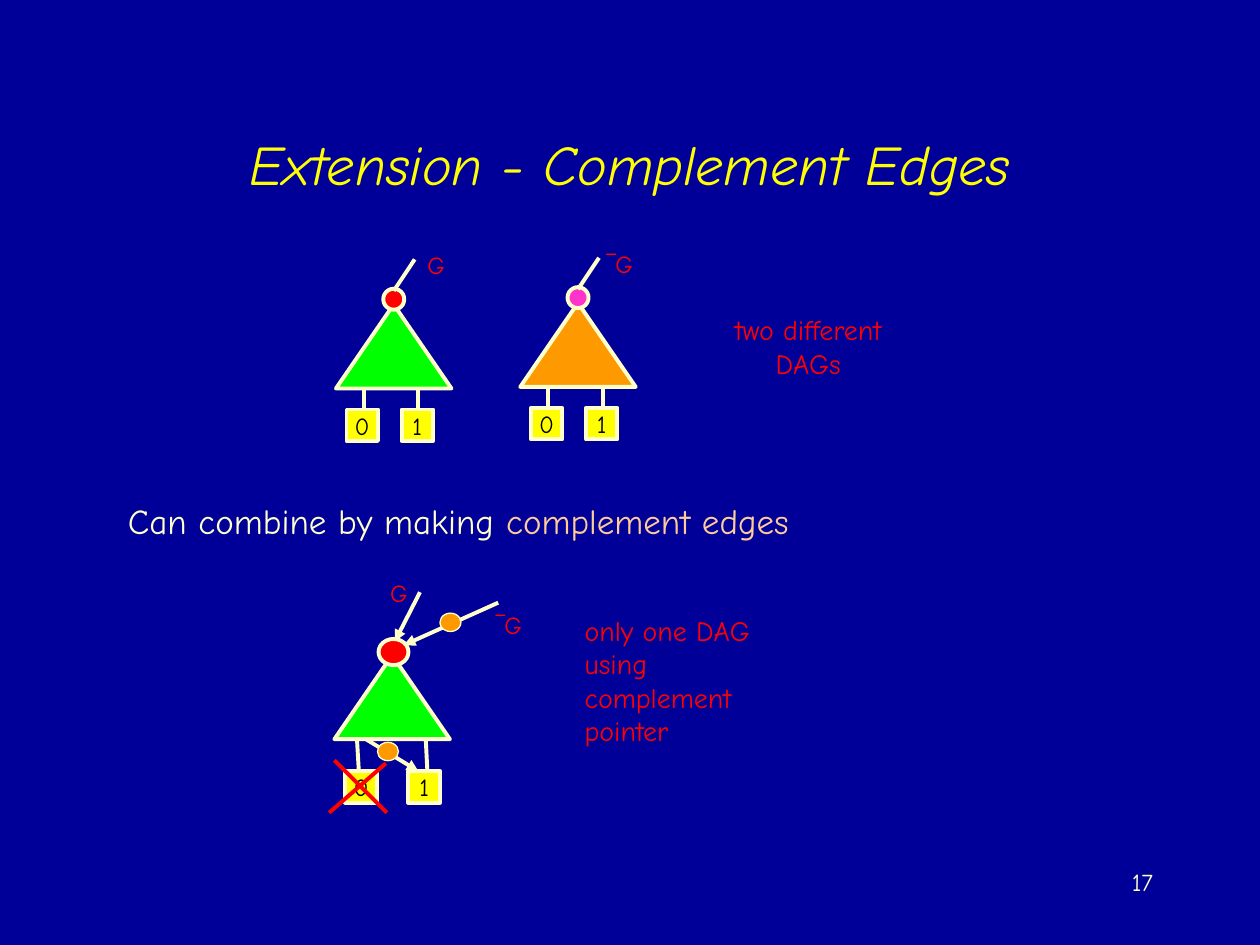
from dataclasses import dataclass

from lxml import etree
from pptx import Presentation
from pptx.dml.color import RGBColor
from pptx.enum.shapes import MSO_CONNECTOR, MSO_SHAPE
from pptx.enum.text import MSO_ANCHOR, PP_ALIGN
from pptx.oxml.ns import qn
from pptx.util import Inches, Pt

LEFT, CENTER, RIGHT = PP_ALIGN.LEFT, PP_ALIGN.CENTER, PP_ALIGN.RIGHT
TOP, MIDDLE = MSO_ANCHOR.TOP, MSO_ANCHOR.MIDDLE
RECT, OVAL, CONE = MSO_SHAPE.RECTANGLE, MSO_SHAPE.OVAL, MSO_SHAPE.ISOSCELES_TRIANGLE
STRAIGHT = MSO_CONNECTOR.STRAIGHT
WIDE, HIGH = Inches(10), Inches(7.5)
CELL = WIDE / 120


@dataclass(frozen=True)
class Theme:
    """Colours, fonts and sizes of the slide."""
    back: str = "000099"
    cream: str = "FFFFCC"
    peach: str = "FFCC99"
    yellow: str = "FFFF00"
    red: str = "FF0000"
    green: str = "00FF00"
    orange: str = "FF9900"
    pink: str = "FF33CC"
    black: str = "000000"
    font: str = "Comic Neue"
    plain: str = "Arial"
    title: int = 32
    body: int = 20
    note: int = 16
    small: int = 14
    line: float = 2.25
    thin: float = 0.75


T = Theme()
G = [[("G", {})]]
NOT_G = [[("‾", {"font": T.plain}), ("G", {})]]


def rgb(code):
    """Turn a hex code into a colour."""
    return RGBColor.from_string(code)


def span(*cells):
    """Turn grid cells into slide lengths."""
    return [round(n * CELL) for n in cells]


def shift(org, box):
    """Move a box by the origin of its region."""
    return (org[0] + box[0], org[1] + box[1], *box[2:])


def write(shape, paras, size=T.small, color=T.red, font=T.font, align=CENTER,
          anchor=MIDDLE, wrap=False, italic=False):
    """Fill a shape with paragraphs, each a list of (text, format) runs."""
    frame = shape.text_frame
    frame.word_wrap, frame.vertical_anchor = wrap, anchor
    for i, runs in enumerate(paras):
        para = frame.add_paragraph() if i else frame.paragraphs[0]
        para.alignment = align
        for text, form in runs:
            run = para.add_run()
            run.text = text
            run.font.size, run.font.italic = Pt(size), italic
            run.font.name = form.get("font", font)
            run.font.color.rgb = rgb(form.get("color", color))


def label(shapes, box, paras, **form):
    """Add a text box at a grid box."""
    write(shapes.add_textbox(*span(*box)), paras, **form)


def block(shapes, kind, box, fill, width=T.line):
    """Add a filled shape with a cream outline."""
    shape = shapes.add_shape(kind, *span(*box))
    shape.shadow.inherit = False
    shape.fill.solid()
    shape.fill.fore_color.rgb = rgb(fill)
    shape.line.color.rgb = rgb(T.cream)
    shape.line.width = Pt(width)
    return shape


def edge(shapes, org, start, end, color=T.cream, arrow=False):
    """Draw a line between two points of a region."""
    line = shapes.add_connector(STRAIGHT, *span(*shift(org, start), *shift(org, end)))
    line.line.color.rgb = rgb(color)
    line.line.width = Pt(T.line)
    if arrow:
        etree.SubElement(line.line._get_or_add_ln(), qn("a:headEnd"), type="triangle")
    etree.SubElement(line._element.spPr, qn("a:effectLst"))


def core(shapes, org, fill, stems, leaves, node, dot):
    """Draw stems, triangle, leaf boxes and top node of a diagram."""
    for start, end in stems:
        edge(shapes, org, start, end)
    block(shapes, CONE, shift(org, (0, 0, 11, 8)), fill)
    for text, (left, top) in zip("01", leaves):
        leaf = block(shapes, RECT, shift(org, (left, top, 3, 3)), T.yellow)
        write(leaf, [[(text, {})]], color=T.black)
    block(shapes, OVAL, shift(org, node), dot)


def single(slide, org, fill, dot, name, place):
    """Draw one stand-alone diagram with its label."""
    shapes = slide.shapes.add_group_shape().shapes
    stems = [((x, 8), (x, 10)) for x in (2.65, 7.85)]
    core(shapes, org, fill, stems, [(1, 10), (6.25, 10)], (4.5, -1.5, 2, 2), dot)
    edge(shapes, org, (5.5, -1.3), (7.5, -4.3))
    label(shapes, shift(org, place), name)


def shared(slide, org):
    """Draw the merged diagram with complement edges and a crossed leaf."""
    shapes = slide.shapes.add_group_shape().shapes
    stems = [((8.7, 8), (9, 14)), ((2.15, 8), (2.5, 14))]
    core(shapes, org, T.green, stems, [(1.05, 11.05), (7.05, 11.05)],
         (4.2, -1.55, 2.85, 2.5), T.red)
    for start, end in [((5.75, -1.3), (8.15, -6)), ((6.6, -0.95), (15.6, -5)),
                       ((8, 11.05), (3, 8))]:
        edge(shapes, org, start, end, arrow=True)
    for spot in [(10.05, -4), (4.1, 8.3)]:
        block(shapes, OVAL, shift(org, (*spot, 2, 1.75)), T.orange, T.thin)
    label(shapes, shift(org, (4.1, -8, 4.1, 4.1)), G)
    label(shapes, shift(org, (14, -5, 5.3, 4.1)), NOT_G)
    for start, end in [((0, 10), (5, 15)), ((4.9, 10.3), (-0.5, 15))]:
        edge(shapes, org, start, end, color=T.red)


def head(slide, box):
    """Place and format the title."""
    title = slide.shapes.title
    title.left, title.top, title.width, title.height = span(*box)
    write(title, [[("Extension - Complement Edges", {})]], size=T.title,
          color=T.yellow, wrap=True, italic=True)


def notes(slide):
    """Place the body line, both remarks and the page number."""
    shapes = slide.shapes
    label(shapes, (11, 47, 102, 8),
          [[("Can combine by making ", {}), ("complement edges", {"color": T.peach})]],
          size=T.body, color=T.cream, align=LEFT, anchor=TOP, wrap=True)
    label(shapes, (68.75, 29.15, 16.45, 7.7),
          [[("two different", {})], [("DAGs", {})]], size=T.note)
    label(shapes, (54.5, 59.4, 23.15, 10.8),
          [[(text, {})] for text in ("only one DAG", "using complement", "pointer")],
          size=T.note, align=LEFT)
    label(shapes, (86, 82, 25, 6), [[("17", {})]], color=T.cream,
          align=RIGHT, anchor=TOP, wrap=True)


def main():
    """Build and save the slide."""
    deck = Presentation()
    deck.slide_width, deck.slide_height = WIDE, HIGH
    slide = deck.slides.add_slide(deck.slide_layouts[5])
    slide.background.fill.solid()
    slide.background.fill.fore_color.rgb = rgb(T.back)
    head(slide, (9, 8, 102, 15))
    single(slide, (32, 29), T.green, T.red, G, (7.5, -5.8, 4.1, 4.1))
    single(slide, (49.55, 28.85), T.orange, T.pink, NOT_G, (6.85, -5.8, 5.3, 4.1))
    shared(slide, (31.85, 62.4))
    notes(slide)
    deck.save("out.pptx")


if __name__ == "__main__":
    main()
